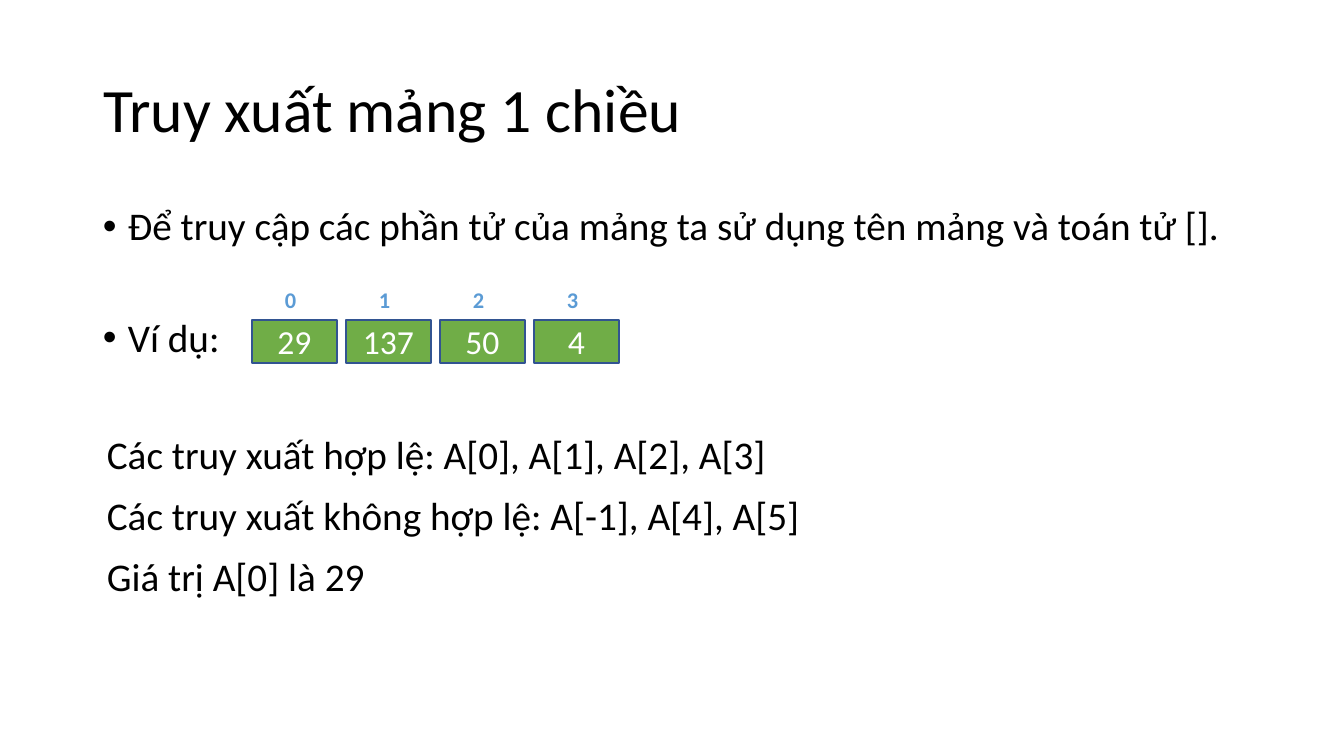
"""Build a slide on accessing the elements of a one-dimensional array."""
from dataclasses import dataclass

from lxml import etree
from pptx import Presentation
from pptx.dml.color import RGBColor
from pptx.enum.shapes import MSO_SHAPE
from pptx.enum.text import MSO_ANCHOR, MSO_AUTO_SIZE, PP_ALIGN
from pptx.oxml.ns import qn
from pptx.util import Pt

RECTANGLE = MSO_SHAPE.RECTANGLE
TOP, MIDDLE = MSO_ANCHOR.TOP, MSO_ANCHOR.MIDDLE
LEFT, CENTER = PP_ALIGN.LEFT, PP_ALIGN.CENTER
NO_AUTOFIT = MSO_AUTO_SIZE.NONE


@dataclass(frozen=True)
class Theme:
    font: str = "Calibri"
    text: RGBColor = RGBColor(0x00, 0x00, 0x00)
    white: RGBColor = RGBColor(0xFF, 0xFF, 0xFF)
    cell: RGBColor = RGBColor(0x70, 0xAD, 0x47)
    border: RGBColor = RGBColor(0x32, 0x54, 0x91)
    index: RGBColor = RGBColor(0x5B, 0x9B, 0xD5)
    title_size: int = 44
    body_size: int = 28
    cell_size: int = 24
    index_size: int = 16


THEME = Theme()


def px(length):
    return round(length * 914400 / 100.8)


def write(para, text, size, color=THEME.text, bold=False, align=LEFT,
          line=1.0, before=0, margin=0, indent=0, bullet=None):
    para.alignment = align
    para.line_spacing = line
    para.space_before = Pt(before)
    properties = para._p.get_or_add_pPr()
    properties.set("marL", str(px(margin)))
    properties.set("indent", str(px(indent)))
    if bullet:
        etree.SubElement(properties, qn("a:buFont")).set("typeface", "Arial")
        etree.SubElement(properties, qn("a:buChar")).set("char", bullet)
    span = para.add_run()
    span.text = text
    span.font.name = THEME.font
    span.font.size = Pt(size)
    span.font.bold = bold
    span.font.color.rgb = color


deck = Presentation()
deck.slide_width, deck.slide_height = px(1344), px(756)
page = deck.slides.add_slide(deck.slide_layouts[5])

title = page.shapes.title
title.left, title.top, title.width, title.height = px(93), px(40), px(1159), px(146)
title.text_frame.auto_size = NO_AUTOFIT
title.text_frame.vertical_anchor = MIDDLE
write(title.text_frame.paragraphs[0], "Truy xuất mảng 1 chiều", THEME.title_size, line=0.9)

body = page.shapes.add_textbox(px(93), px(202), px(1159), px(480)).text_frame
body.word_wrap = True
body.vertical_anchor = TOP
bulleted = dict(margin=25, indent=-25, bullet="•")
plain = dict(margin=23, indent=-19)
body_lines = [
    ("Để truy cập các phần tử của mảng ta sử dụng tên mảng và toán tử [].", 10, bulleted),
    ("Ví dụ:", 49.5, bulleted),
    ("Các truy xuất hợp lệ: A[0], A[1], A[2], A[3]", 53, plain),
    ("Các truy xuất không hợp lệ: A[-1], A[4], A[5]", 13.5, plain),
    ("Giá trị A[0] là 29", 13.5, plain),
]
for number, (text, before, layout) in enumerate(body_lines):
    para = body.add_paragraph() if number else body.paragraphs[0]
    write(para, text, THEME.body_size, line=0.9, before=before, **layout)

array = page.shapes.add_group_shape()
values = ["29", "137", "50", "4"]
indexes = [str(position) for position in range(len(values))]
rows = [
    (values, 252, 320, 43, THEME.cell, THEME.border, THEME.cell_size, THEME.white, False),
    (indexes, 248, 292, 15, THEME.white, None, THEME.index_size, THEME.index, True),
]
for texts, left, top, height, fill, border, size, color, bold in rows:
    for column, text in enumerate(texts):
        box = array.shapes.add_shape(
            RECTANGLE, px(left + 94 * column), px(top), px(85), px(height))
        box.shadow.inherit = False
        box.fill.solid()
        box.fill.fore_color.rgb = fill
        if border:
            box.line.color.rgb = border
            box.line.width = Pt(1)
        else:
            box.line.fill.background()
        box.text_frame.word_wrap = True
        box.text_frame.vertical_anchor = MIDDLE
        write(box.text_frame.paragraphs[0], text, size, color=color, bold=bold, align=CENTER)

deck.save("out.pptx")
